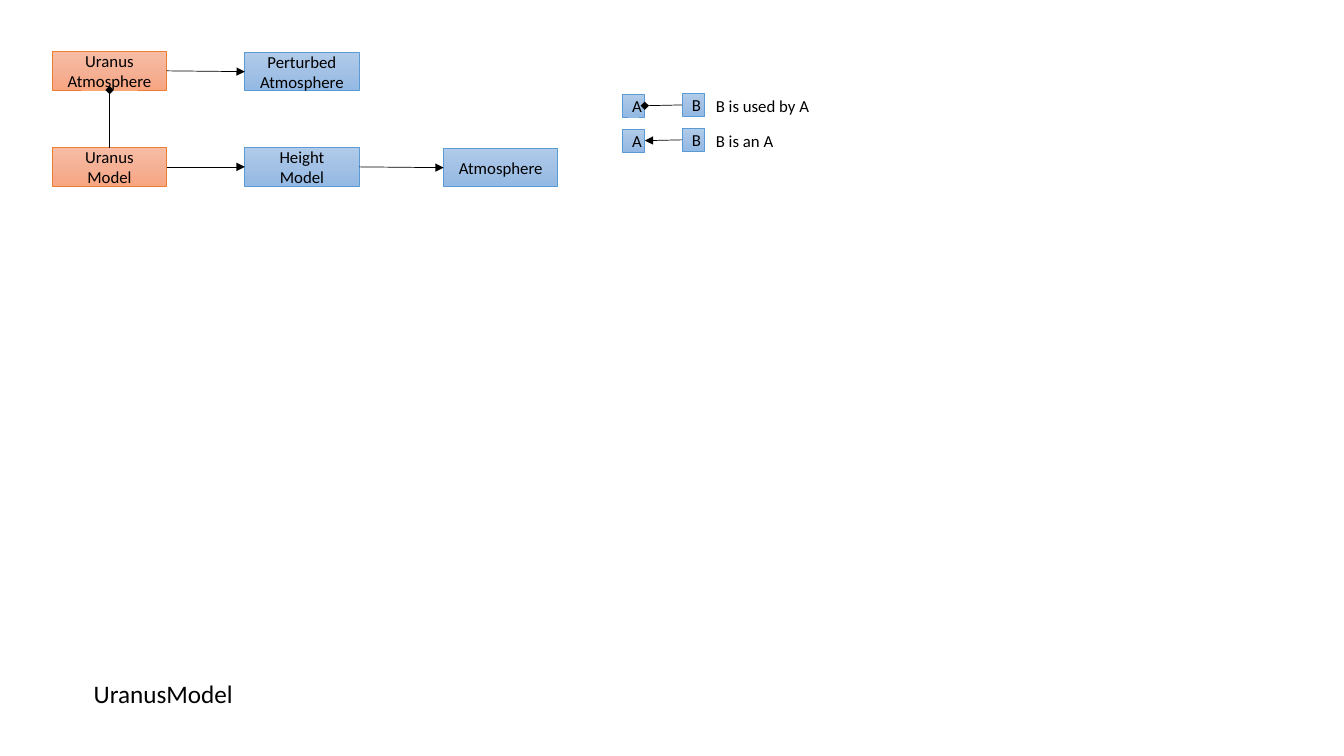
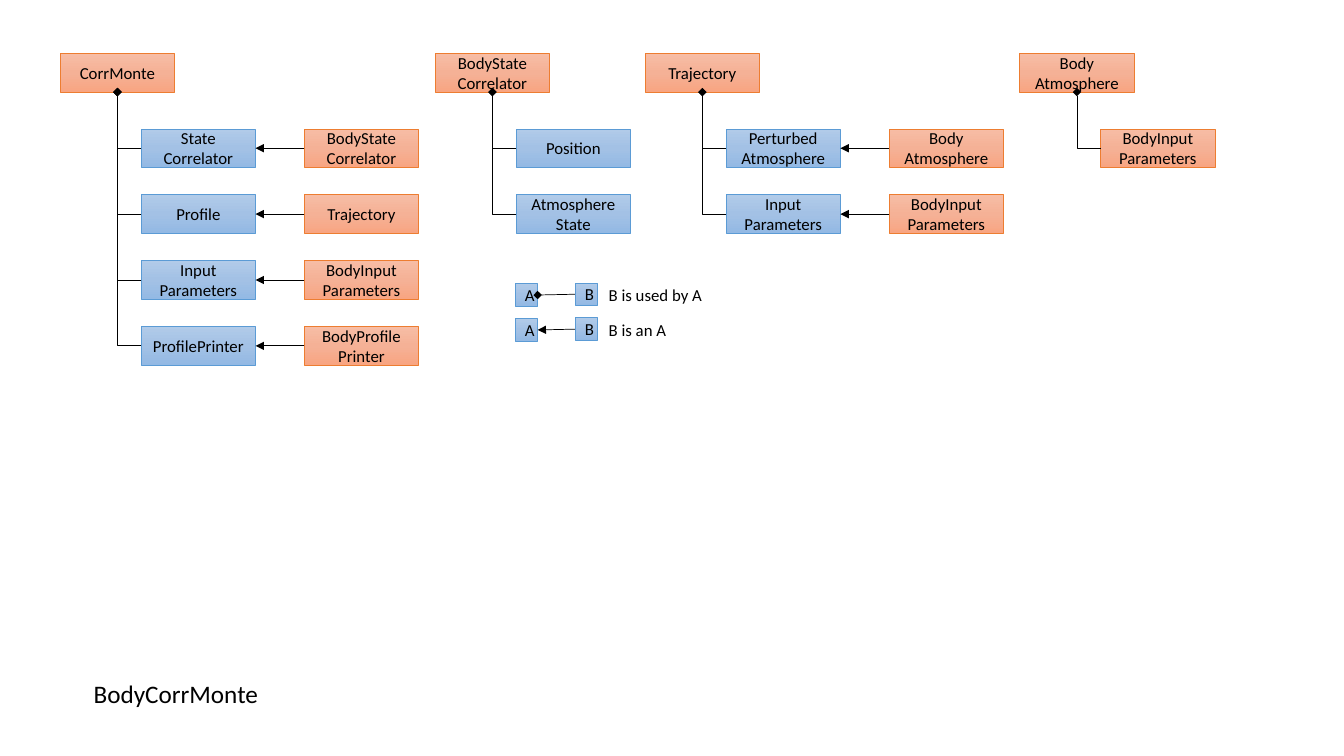
from copy import deepcopy

from lxml import etree
from pptx import Presentation
from pptx.dml.color import RGBColor
from pptx.enum.shapes import MSO_CONNECTOR, MSO_SHAPE
from pptx.enum.text import MSO_ANCHOR, MSO_AUTO_SIZE, PP_ALIGN
from pptx.oxml.ns import qn
from pptx.util import Cm, Pt

RECTANGLE = MSO_SHAPE.RECTANGLE
STRAIGHT, ELBOW = MSO_CONNECTOR.STRAIGHT, MSO_CONNECTOR.ELBOW
CENTER, MIDDLE = PP_ALIGN.CENTER, MSO_ANCHOR.MIDDLE
FIT_SHAPE = MSO_AUTO_SIZE.SHAPE_TO_FIT_TEXT
TOP, LEFT, BOTTOM, RIGHT = range(4)

BLACK = RGBColor(0x00, 0x00, 0x00)
BLUE_LINE = RGBColor(0x5B, 0x9B, 0xD5)
BLUE_STOPS = (RGBColor(0xB1, 0xCB, 0xE9), RGBColor(0xA3, 0xC1, 0xE5), RGBColor(0x93, 0xB9, 0xE4))
ORANGE_LINE = RGBColor(0xED, 0x7D, 0x31)
ORANGE_STOPS = (RGBColor(0xF7, 0xBD, 0xA5), RGBColor(0xF5, 0xB1, 0x96), RGBColor(0xF8, 0xA5, 0x82))
BLUE = (BLUE_LINE, BLUE_STOPS)
ORANGE = (ORANGE_LINE, ORANGE_STOPS)

FONT = "Calibri"
LINE_WIDTH = Pt(0.5)
BOX_WIDTH, BOX_HEIGHT = 2.88, 0.97
LEGEND_SIDE = 0.57


def style_text(frame, text, size):
    frame.text = text
    for para in frame.paragraphs:
        para.font.name = FONT
        para.font.size = Pt(size)
        para.font.color.rgb = BLACK


def add_box(slide, left, top, text, colours, width=BOX_WIDTH, height=BOX_HEIGHT):
    line_colour, stop_colours = colours
    box = slide.shapes.add_shape(RECTANGLE, Cm(left), Cm(top), Cm(width), Cm(height))
    box.shadow.inherit = False
    box.line.color.rgb = line_colour
    box.line.width = LINE_WIDTH
    box.fill.gradient()
    box.fill.gradient_angle = 270
    stop_list = box.element.spPr.find(".//" + qn("a:gsLst"))
    stop_list.insert(1, deepcopy(stop_list[0]))
    for stop, position, colour in zip(box.fill.gradient_stops, (0, 0.5, 1), stop_colours):
        stop.position = position
        stop.color.rgb = colour
    style_text(box.text_frame, text, 12)
    box.text_frame.vertical_anchor = MIDDLE
    for para in box.text_frame.paragraphs:
        para.alignment = CENTER
    return box


def add_label(slide, left, top, width, height, text, size):
    label = slide.shapes.add_textbox(Cm(left), Cm(top), Cm(width), Cm(height))
    label.text_frame.word_wrap = False
    label.text_frame.auto_size = FIT_SHAPE
    style_text(label.text_frame, text, size)


def join(slide, source, source_side, target, target_side, head="triangle", kind=STRAIGHT):
    connector = slide.shapes.add_connector(kind, 0, 0, 0, 0)
    connector.begin_connect(source, source_side)
    connector.end_connect(target, target_side)
    connector.line.color.rgb = BLACK
    connector.line.width = LINE_WIDTH
    properties = connector.element.spPr
    etree.SubElement(properties.find(qn("a:ln")), qn("a:tailEnd"), type=head)
    etree.SubElement(properties, qn("a:effectLst"))
    return connector


def join_to_root(slide, part, root):
    connector = join(slide, part, LEFT, root, BOTTOM, "diamond", ELBOW)
    properties = connector.element.spPr
    properties.find(qn("a:prstGeom")).set("prst", "bentConnector2")
    frame = properties.find(qn("a:xfrm"))
    for flip in ("flipH", "flipV"):
        frame.attrib.pop(flip, None)
    frame.set("rot", "10800000")


def draw_legend(slide, left, top):
    entries = (("B is used by A", 2.9, "diamond"), ("B is an A", 1.98, "triangle"))
    for row, (text, width, head) in enumerate(entries):
        row_top = top + row * 0.88
        a_box = add_box(slide, left, row_top, "A", BLUE, LEGEND_SIDE, LEGEND_SIDE)
        b_box = add_box(slide, left + 1.51, row_top - 0.02, "B", BLUE, LEGEND_SIDE, LEGEND_SIDE)
        add_label(slide, left + 2.11, row_top - 0.1, width, 0.77, text, 12)
        join(slide, b_box, LEFT, a_box, RIGHT, head)


def draw_tree(slide, left, top, root_text, rows):
    root = add_box(slide, left, top, root_text, ORANGE)
    part_left = left + 2.04
    for row, (part_text, colours, derived_text) in enumerate(rows):
        row_top = top + 1.9 + row * 1.66
        part = add_box(slide, part_left, row_top, part_text, colours)
        join_to_root(slide, part, root)
        if derived_text:
            derived = add_box(slide, part_left + 4.11, row_top, derived_text, ORANGE)
            join(slide, derived, LEFT, part, RIGHT)


def draw_model(slide, left, top):
    second, third, lower = left + 4.85, left + 9.86, top + 2.42
    uranus_atmosphere = add_box(slide, left, top, "Uranus\nAtmosphere", ORANGE)
    perturbed = add_box(slide, second, top + 0.02, "Perturbed\nAtmosphere", BLUE)
    uranus_model = add_box(slide, left, lower, "Uranus\nModel", ORANGE)
    height_model = add_box(slide, second, lower, "Height\nModel", BLUE)
    atmosphere = add_box(slide, third, lower + 0.02, "Atmosphere", BLUE)
    join(slide, uranus_atmosphere, RIGHT, perturbed, LEFT)
    join(slide, uranus_model, RIGHT, height_model, LEFT)
    join(slide, height_model, RIGHT, atmosphere, LEFT)
    join(slide, uranus_model, TOP, uranus_atmosphere, BOTTOM, "diamond")


TREES = (
    (1.52, "CorrMonte", (
        ("State\nCorrelator", BLUE, "BodyState\nCorrelator"),
        ("Profile", BLUE, "Trajectory"),
        ("Input\vParameters", BLUE, "BodyInput\vParameters"),
        ("ProfilePrinter", BLUE, "BodyProfile\nPrinter"),
    )),
    (10.97, "BodyState\nCorrelator", (
        ("Position", BLUE, None),
        ("Atmosphere\nState", BLUE, None),
    )),
    (16.26, "Trajectory", (
        ("Perturbed\vAtmosphere", BLUE, "Body\nAtmosphere"),
        ("Input\vParameters", BLUE, "BodyInput\vParameters"),
    )),
    (25.7, "Body\nAtmosphere", (
        ("BodyInput\vParameters", ORANGE, None),
    )),
)


def add_slide(deck, title, title_width):
    slide = deck.slides.add_slide(deck.slide_layouts[6])
    add_label(slide, 2.11, 16.97, title_width, 1.02, title, 18)
    return slide


def main():
    deck = Presentation()
    deck.slide_width, deck.slide_height = Cm(33.87), Cm(19.05)

    model_slide = add_slide(deck, "UranusModel", 4.06)
    draw_model(model_slide, 1.32, 1.3)
    draw_legend(model_slide, 15.68, 2.38)

    tree_slide = add_slide(deck, "BodyCorrMonte", 4.7)
    for left, root_text, rows in TREES:
        draw_tree(tree_slide, left, 1.35, root_text, rows)
    draw_legend(tree_slide, 12.98, 7.15)

    deck.save("out.pptx")


if __name__ == "__main__":
    main()
